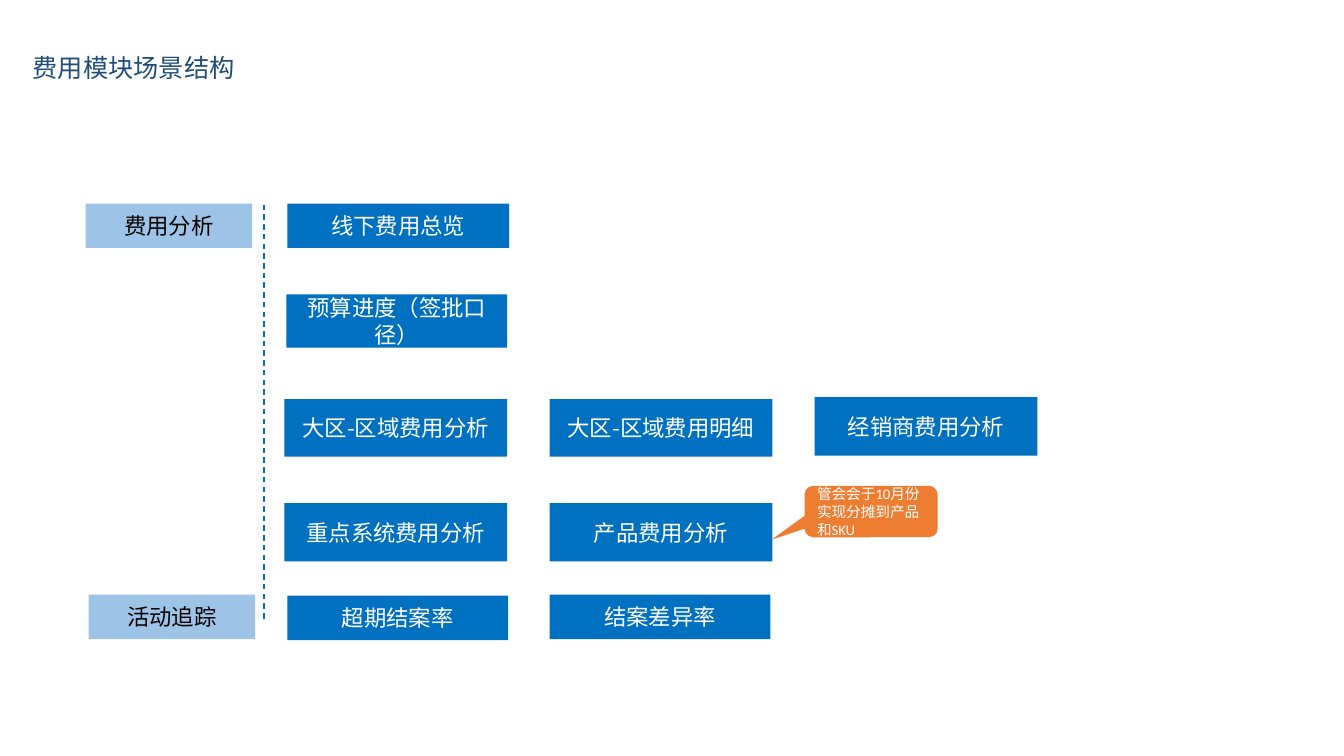
"""Build the slide showing the scene structure of the expense module."""
from lxml import etree
from pptx import Presentation
from pptx import util as u
from pptx.dml.color import RGBColor
from pptx.enum import dml, shapes, text
from pptx.oxml import ns

TITLE = ("费用模块场景结构", (12, 47, 241, 42))
GROUPS = [
    ("费用分析", (85, 202, 165, 44)),
    ("活动追踪", (88, 590, 165, 44)),
]
SCENES = [
    ("线下费用总览", (285, 202, 220, 44)),
    ("预算进度（签批口径）", (284, 292, 219, 53)),
    ("大区-区域费用分析", (282, 396, 221, 57)),
    ("大区-区域费用明细", (545, 396, 221, 57)),
    ("经销商费用分析", (808, 394, 221, 58)),
    ("重点系统费用分析", (282, 499, 221, 58)),
    ("产品费用分析", (545, 499, 221, 58)),
    ("超期结案率", (285, 591, 219, 44)),
    ("结案差异率", (545, 590, 219, 44)),
]
NOTE = ("管会会于10月份实现分摊到产品和SKU", (798, 482, 132, 51))
NOTE_POINTER = (-0.75, 0.55, 0.17)
DIVIDER = (262, 203, 262, 616)
SLIDE_SIZE = (1333, 750)
EMU_PER_PX = 9144


class Theme:
    """Colours, fonts and type sizes."""
    title, group, scene = "1F4E79", "9DC3E6", "0070C0"
    note, dark, light = "ED7D31", "000000", "FFFFFF"
    cjk, latin = "Noto Sans CJK SC", "Calibri"
    title_size, box_size, note_size = 18, 16, 10.5


def px(lengths):
    """Turn px lengths into EMU."""
    return [u.Emu(length * EMU_PER_PX) for length in lengths]


def write(frame, words, size, color, align, font=Theme.cjk):
    """Put one run of styled text in a frame."""
    paragraph = frame.paragraphs[0]
    paragraph.alignment = align
    run = paragraph.add_run()
    run.text = words
    run.font.size = u.Pt(size)
    run.font.name = font
    run.font.color.rgb = RGBColor.from_string(color)
    east_asian = etree.SubElement(run.font._element, ns.qn("a:ea"))
    east_asian.set("typeface", Theme.cjk)


def add_block(slide, preset, place, fill):
    """Add a flat filled shape with vertically centred text."""
    block = slide.shapes.add_shape(preset, *px(place))
    block.shadow.inherit = False
    block.fill.solid()
    block.fill.fore_color.rgb = RGBColor.from_string(fill)
    block.line.fill.background()
    block.text_frame.word_wrap = True
    block.text_frame.vertical_anchor = text.MSO_ANCHOR.MIDDLE
    return block


def add_title(slide):
    """Add the heading."""
    words, place = TITLE
    frame = slide.shapes.add_textbox(*px(place)).text_frame
    frame.word_wrap = True
    frame.auto_size = text.MSO_AUTO_SIZE.SHAPE_TO_FIT_TEXT
    write(frame, words, Theme.title_size, Theme.title, text.PP_ALIGN.CENTER)


def add_divider(slide):
    """Add the dashed line between groups and scenes."""
    divider = slide.shapes.add_connector(shapes.MSO_CONNECTOR.STRAIGHT, *px(DIVIDER))
    divider.line.color.rgb = RGBColor.from_string(Theme.scene)
    divider.line.width = u.Pt(1)
    divider.line.dash_style = dml.MSO_LINE.DASH
    etree.SubElement(divider._element.spPr, ns.qn("a:effectLst"))


def add_note(slide):
    """Add the callout beside the product scene."""
    words, place = NOTE
    note = add_block(slide, shapes.MSO_SHAPE.ROUNDED_RECTANGULAR_CALLOUT, place, Theme.note)
    for index, value in enumerate(NOTE_POINTER):
        note.adjustments[index] = value
    write(note.text_frame, words, Theme.note_size, Theme.light, text.PP_ALIGN.LEFT, Theme.latin)


def main():
    """Build and save the slide."""
    deck = Presentation()
    deck.slide_width, deck.slide_height = px(SLIDE_SIZE)
    slide = deck.slides.add_slide(deck.slide_layouts[6])
    add_title(slide)
    add_divider(slide)
    for boxes, fill, color in (
        (GROUPS, Theme.group, Theme.dark),
        (SCENES, Theme.scene, Theme.light),
    ):
        for words, place in boxes:
            box = add_block(slide, shapes.MSO_SHAPE.RECTANGLE, place, fill)
            write(box.text_frame, words, Theme.box_size, color, text.PP_ALIGN.CENTER)
    add_note(slide)
    deck.save("out.pptx")


if __name__ == "__main__":
    main()
